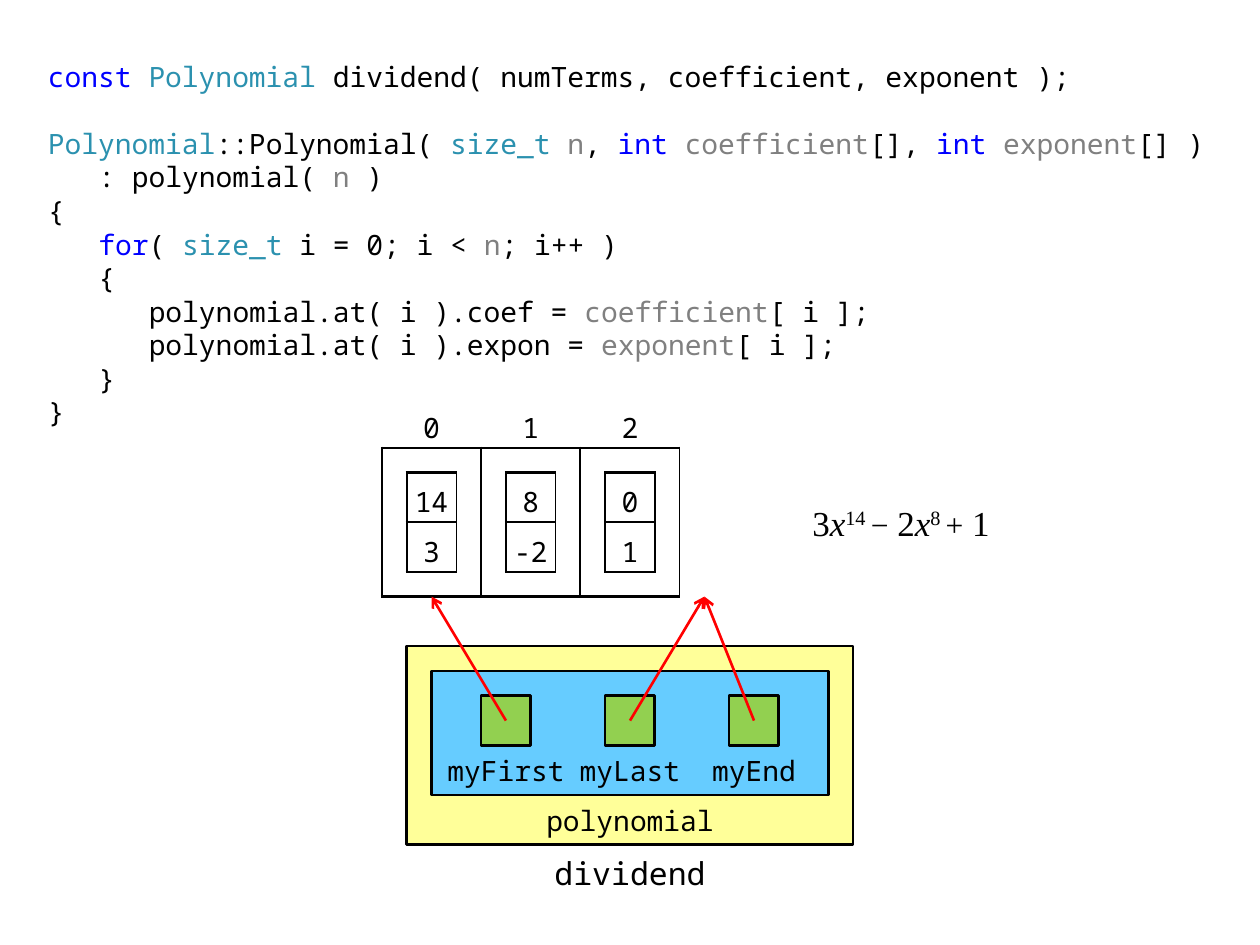
from pptx import Presentation
from pptx.dml.color import RGBColor
from pptx.enum.shapes import MSO_CONNECTOR, MSO_SHAPE
from pptx.enum.text import MSO_ANCHOR, MSO_AUTO_SIZE, PP_ALIGN
from pptx.oxml.ns import qn
from pptx.util import Pt
from lxml.etree import SubElement

# Theme
THEME = {
    "text": "000000", "keyword": "0000FF", "type": "2B91AF", "param": "808080",
    "object": "FFFF99", "vector": "66CCFF", "pointer": "92D050", "arrow": "FF0000",
    "mono": "Noto Sans Mono", "serif": "Times New Roman",
    "code_size": 16, "name_size": 18, "formula_size": 20,
    "line": 1.5, "thin": 1,
}

# Content: code lines are (indent level, [(text, colour), ...])
T, K, Y, P = "text", "keyword", "type", "param"
CODE = [
    (0, [("const ", K), ("Polynomial", Y),
         (" dividend( numTerms, coefficient, exponent );", T)]),
    (0, [("Polynomial", Y), ("::Polynomial( ", T), ("size_t ", Y), ("n", P),
         (", ", T), ("int ", K), ("coefficient", P), ("[], ", T),
         ("int ", K), ("exponent", P), ("[] )", T)]),
    (1, [(": polynomial( ", T), ("n", P), (" )", T)]),
    (0, [("{", T)]),
    (1, [("for", K), ("( ", T), ("size_t", Y), (" i = 0; i < ", T),
         ("n", P), ("; i++ )", T)]),
    (1, [("{", T)]),
    (2, [("polynomial.at( i ).coef = ", T), ("coefficient", P), ("[ i ];", T)]),
    (2, [("polynomial.at( i ).expon = ", T), ("exponent", P), ("[ i ];", T)]),
    (1, [("}", T)]),
    (0, [("}", T)]),
]
CONSTRUCTOR = 1  # code line that follows a gap
FORMULA = [("3", ""), ("x", "italic"), ("14 ", "super"), ("−", "sign"), (" 2", ""),
           ("x", "italic"), ("8 ", "super"), ("+", "sign"), (" 1", "")]
TERMS = [("14", "3"), ("8", "-2"), ("0", "1")]  # exponent over coefficient
# Pointer name, its centre and the column its arrow reaches, in grid units
POINTERS = [("myFirst", -2.5, -4), ("myLast", 0, 1.5), ("myEnd", 2.5, 1.5)]

# The diagram sits on a square grid around the slide's centre line
UNIT, CENTRE, TOP = 28.35, 360, 227.5
LINE_PITCH, INDENT = 19.2, 28.8


def x(u):
    return Pt(CENTRE + u * UNIT)


def y(v):
    return Pt(TOP + v * UNIT)


def size(n):
    return Pt(n * UNIT)


def color(key):
    return RGBColor.from_string(THEME[key])


def style(r, key="text", pt="code_size", font="mono"):
    r.font.name = THEME[font]
    r.font.size = Pt(THEME[pt])
    r.font.color.rgb = color(key)


def add_label(s, text, u, v, w, pt="code_size"):
    """One centred line in a box one unit high, centred on u."""
    sp = s.shapes.add_textbox(x(u - w / 2), y(v), size(w), size(1))
    tf = sp.text_frame
    tf.word_wrap = True
    tf.vertical_anchor = MSO_ANCHOR.MIDDLE
    tf.text = text
    tf.paragraphs[0].alignment = PP_ALIGN.CENTER
    style(tf.paragraphs[0].runs[0], pt=pt)
    return tf


def add_box(s, u, v, w, h, fill, kind=MSO_SHAPE.RECTANGLE):
    sp = s.shapes.add_shape(kind, x(u), y(v), size(w), size(h))
    sp.shadow.inherit = False
    sp.fill.solid()
    sp.fill.fore_color.rgb = color(fill)
    sp.line.color.rgb = color("text")
    sp.line.width = Pt(THEME["line"])


def set_borders(cell, widths):
    """Widths for left, right, top and bottom; 0 draws nothing."""
    cell.fill.background()
    tc_pr = cell._tc.get_or_add_tcPr()
    for i, (side, width) in enumerate(zip("LRTB", widths)):
        ln = SubElement(tc_pr, qn("a:ln" + side), w=str(Pt(width)))
        if width:
            fill = SubElement(ln, qn("a:solidFill"))
            SubElement(fill, qn("a:srgbClr"), val=THEME["text"])
        else:
            SubElement(ln, qn("a:noFill"))
        tc_pr.insert(i, ln)


def add_grid(s, u, v, rows, col_width, heights, borders):
    """Table of centred text; borders holds one set of widths per row."""
    cols = len(rows[0])
    tbl = s.shapes.add_table(len(rows), cols, x(u), y(v), size(cols * col_width),
                             size(sum(heights))).table
    tbl.first_row = tbl.horz_banding = False
    for col in tbl.columns:
        col.width = size(col_width)
    for i, row in enumerate(rows):
        tbl.rows[i].height = size(heights[i])
        for j, text in enumerate(row):
            cell = tbl.cell(i, j)
            cell.margin_left = cell.margin_right = 0
            cell.margin_top = cell.margin_bottom = 0
            cell.vertical_anchor = MSO_ANCHOR.MIDDLE
            set_borders(cell, borders[i])
            if text:
                cell.text = text
                p = cell.text_frame.paragraphs[0]
                p.alignment = PP_ALIGN.CENTER
                p.line_spacing = 1.25
                style(p.runs[0])


def add_code(s):
    sp = s.placeholders[1]
    sp.left, sp.top, sp.width, sp.height = Pt(20.2), Pt(28.8), Pt(680.4), Pt(226.8)
    tf = sp.text_frame
    tf.auto_size = MSO_AUTO_SIZE.NONE
    tf.vertical_anchor = MSO_ANCHOR.TOP
    tf.margin_top = Pt(5)
    for i, (level, parts) in enumerate(CODE):
        p = tf.paragraphs[0] if i == 0 else tf.add_paragraph()
        p.line_spacing = Pt(LINE_PITCH)
        p.space_before = Pt(LINE_PITCH if i == CONSTRUCTOR else 0)
        p_pr = p._p.get_or_add_pPr()
        p_pr.set("marL", str(Pt(level * INDENT)))
        p_pr.set("indent", "0")
        SubElement(p_pr, qn("a:buNone"))
        for text, key in parts:
            r = p.add_run()
            r.text = text
            style(r, key)


def add_formula(s):
    sp = s.shapes.add_textbox(x(2.5), y(2), size(5), size(1))
    tf = sp.text_frame
    tf.word_wrap = True
    tf.vertical_anchor = MSO_ANCHOR.MIDDLE
    tf.margin_top = tf.margin_bottom = 0
    p = tf.paragraphs[0]
    p.alignment = PP_ALIGN.RIGHT
    for text, kind in FORMULA:
        r = p.add_run()
        r.text = text
        style(r, pt="name_size" if kind == "sign" else "formula_size", font="serif")
        r.font.italic = kind == "italic"
        if kind == "super":
            r._r.get_or_add_rPr().set("baseline", "30000")


def add_arrow(s, u1, v1, u2, v2):
    c = s.shapes.add_connector(MSO_CONNECTOR.STRAIGHT, x(u1), y(v1), x(u2), y(v2))
    c.line.color.rgb = color("arrow")
    c.line.width = Pt(THEME["line"])
    SubElement(c.line._get_or_add_ln(), qn("a:tailEnd"), type="arrow")
    SubElement(c._element.spPr, qn("a:effectLst"))


def main():
    prs = Presentation()
    prs.slide_width, prs.slide_height = Pt(720), Pt(540)
    s = prs.slides.add_slide(prs.slide_layouts[1])
    title = s.shapes.title._element
    title.getparent().remove(title)

    add_code(s)
    add_box(s, -4.5, 5, 9, 4, "object")
    add_formula(s)

    # Array with its index row, and one term in each element
    line, thin = THEME["line"], THEME["thin"]
    n = len(TERMS)
    add_grid(s, -5, 0, [[str(i) for i in range(n)], [""] * n], 2, [1, 3],
             [(0, 0, 0, line), (line, thin, line, line)])
    for i, term in enumerate(TERMS):
        add_grid(s, -4.5 + 2 * i, 1.5, [[value] for value in term], 1, [1, 1],
                 [(line, thin, line, line)] * 2)

    # Object, its member and the three pointers
    add_label(s, "dividend", 0, 9, 4, "name_size").margin_bottom = 0
    add_label(s, "polynomial", 0, 8, 4)
    add_box(s, -4, 5.5, 8, 2.5, "vector", MSO_SHAPE.FLOWCHART_PROCESS)
    for name, u, _ in POINTERS:
        add_label(s, name, u, 7, 3)
        add_box(s, u - 0.5, 6, 1, 1, "pointer")
    for _, u, target in POINTERS:
        add_arrow(s, u, 6.5, target, 4)

    prs.save("out.pptx")


if __name__ == "__main__":
    main()
